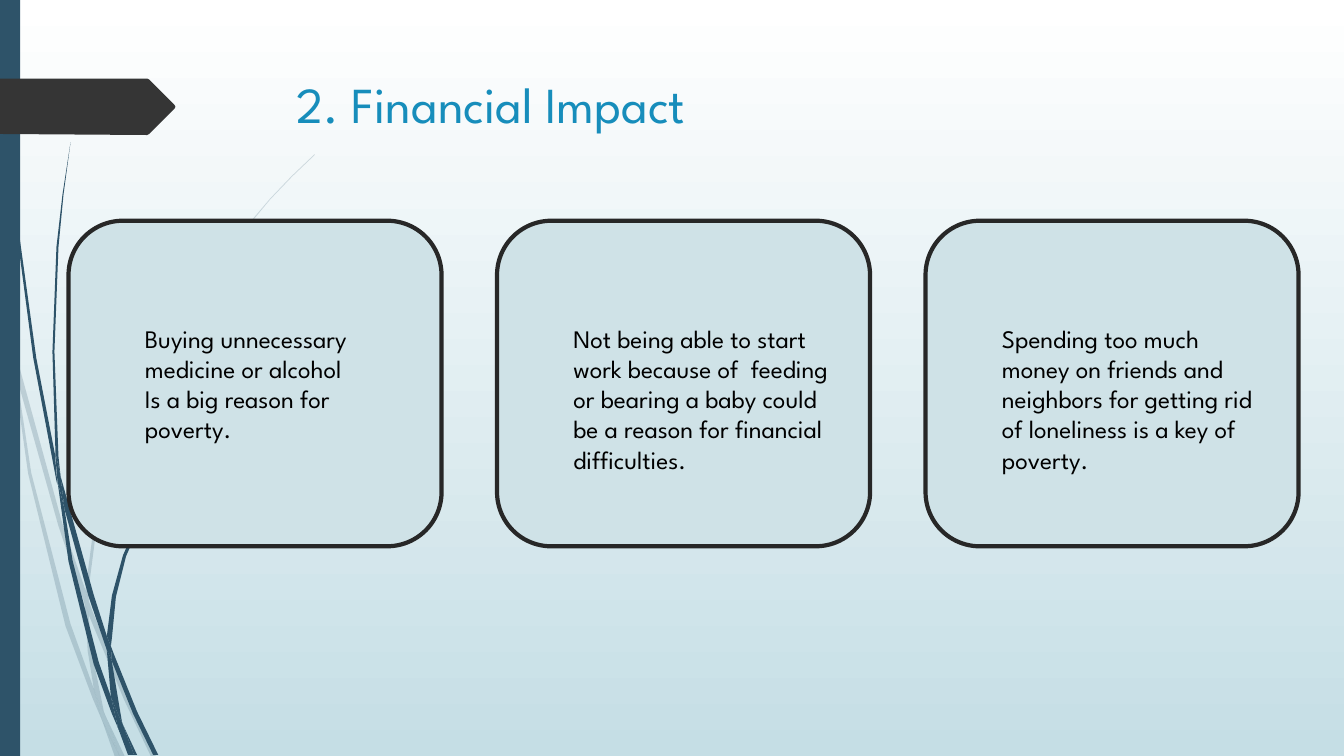
import lxml.etree
import pptx
import pptx.dml.color
import pptx.enum.shapes
import pptx.enum.text
import pptx.oxml.ns
import pptx.util

Inches = pptx.util.Inches
FONT = "League Spartan"
HUES = {
    "top": "FFFFFF", "base": "C5DEE5", "stem": "2E5369", "tag": "353535",
    "title": "178DBB", "card": "CFE2E7", "edge": "272727", "text": "000000",
}
PALE = (
    "0.11 3.5 0.09 3.22 0 2.82 0 2.99 0.1 3.44",
    "0.58 5.22 0.84 5.99 0.85 5.86 0.62 5.2 0.14 3.45 0.17 3.76",
    "0.92 6.07 0.88 5.96 0.88 6.1 1.23 6.94 1.5 7.51 1.55 7.51 1.27 6.92",
    "1.19 7.51 1.24 7.51 1.05 7.11",
    "0.93 6.83 0.7 6.19 0.31 4.69 0.17 3.76 0.11 3.5 0.28 4.7 0.65 6.21 0.92 6.93 "
    "1.01 7.14 0.99 7.07",
    "0.84 5.99 0.87 6.46 0.93 6.83 0.96 6.92 1.05 7.11 1.03 7.06 0.91 6.46 0.88 6.1 0.88 6.08",
    "0.88 5.84 0.96 5.22 1.1 4.62 1.6 3.49 2.29 2.45 2.68 1.98 2.9 1.75 3.12 1.54 3.12 1.53 "
    "2.89 1.75 2.68 1.97 2.28 2.44 1.58 3.48 1.07 4.61 0.93 5.22 0.85 5.84 0.85 5.86 0.88 5.96",
    "1.01 7.14 1.14 7.51 1.19 7.51",
    "0.88 6.08 0.88 6.1 0.88 5.96 0.85 5.86 0.84 5.99",
    "0.96 6.92 0.93 6.83 0.99 7.07 1.01 7.14 1.19 7.51 1.05 7.11",
)
DARK = (
    "0.07 1.1 0.17 2.33 0.33 3.55 0.56 4.77 0.57 4.81 0.55 4.57 0.55 4.53 0.36 3.55 "
    "0.19 2.32 0.08 1.09 0.05 0.48 0.04 0 0.03 0 0.04 0.48",
    "0.88 5.92 1.06 6.45 1.06 6.31 0.93 5.9 0.6 4.72 0.64 5.05",
    "1.13 6.49 1.1 6.41 1.11 6.56 1.32 7.08 1.52 7.49 1.57 7.49 1.36 7.06",
    "1.1 6.91 0.98 6.57 0.72 5.56 0.64 5.05 0.57 4.77 0.68 5.57 0.93 6.59 1.11 7.08 "
    "1.17 7.22 1.16 7.17",
    "0.6 4.72 0.58 4.53 0.54 3.49 0.58 2.45 0.63 1.93 0.7 1.41 0.62 1.93 0.56 2.45 "
    "0.52 3.49 0.55 4.49",
    "1.33 7.49 1.36 7.49 1.22 7.19",
    "0.57 4.77 0.64 5.05 0.6 4.72 0.55 4.49 0.55 4.53",
    "1.11 6.33 1.15 5.92 1.25 5.52 1.58 4.76 2.05 4.06 2.31 3.74 2.61 3.44 2.6 3.44 "
    "2.31 3.73 2.04 4.05 1.56 4.74 1.22 5.51 1.11 5.91 1.06 6.31 1.1 6.41",
    "1.17 7.22 1.27 7.49 1.31 7.49",
    "1.06 6.45 1.1 6.91 1.16 7.06 1.22 7.19 1.21 7.16 1.11 6.56 1.09 6.51",
    "1.06 6.45 1.09 6.51 1.11 6.56 1.1 6.41 1.06 6.31 1.06 6.33",
    "1.16 7.06 1.1 6.91 1.16 7.17 1.17 7.22 1.3 7.49 1.33 7.49 1.22 7.19",
)
TAG = "0 0.78 1.46 0.78 1.48 0.79 1.73 1.04 1.74 1.06 1.73 1.08 1.48 1.33 1.46 1.34 0 1.33"
CARDS = (
    (("Buying unnecessary medicine or alcohol", "Is a big reason for poverty."), 0.05),
    (("Not being able to start work because of  feeding or bearing a baby could be "
      "a reason for financial difficulties.",), 0.35),
    (("Spending too much money on friends and neighbors for getting rid of "
      "loneliness is a key of poverty.",), 0.35),
)


def hue(name):
    return pptx.dml.color.RGBColor.from_string(HUES[name])


def put(item, vals):
    for key, val in vals.items():
        setattr(item, key, val)


def paint(shape, name):
    shape.shadow.inherit = False
    shape.fill.solid()
    shape.fill.fore_color.rgb = hue(name)
    shape.line.fill.background()


def write(para, text, size, name):
    run = para.add_run()
    run.text = text
    put(run.font, {"name": FONT, "size": pptx.util.Pt(size)})
    run.font.color.rgb = hue(name)
    para.alignment = pptx.enum.text.PP_ALIGN.LEFT


def trace(slide, text, name, alpha=100):
    nums = [Inches(float(num)) for num in text.split()]
    dots = list(zip(nums[::2], nums[1::2]))
    form = slide.shapes.build_freeform(*dots[0])
    form.add_line_segments(dots[1:], close=True)
    shape = form.convert_to_shape()
    paint(shape, name)
    if alpha < 100:
        tint = shape.element.spPr.find(".//" + pptx.oxml.ns.qn("a:srgbClr"))
        lxml.etree.SubElement(tint, pptx.oxml.ns.qn("a:alpha"), val=str(alpha * 1000))


def block(slide, kind, box, name):
    shape = slide.shapes.add_shape(kind, *map(Inches, box))
    paint(shape, name)
    return shape


def card(slide, left, lines, top):
    kind = pptx.enum.shapes.MSO_SHAPE.ROUNDED_RECTANGLE
    shape = block(slide, kind, (left, 2.19, 3.7, 3.23), "card")
    shape.line.color.rgb = hue("edge")
    shape.line.width = pptx.util.Pt(3)
    frame = shape.text_frame
    put(frame, {"word_wrap": True, "margin_left": Inches(0.6), "margin_top": Inches(top),
                "vertical_anchor": pptx.enum.text.MSO_ANCHOR.MIDDLE})
    for n, line in enumerate(lines):
        write(frame.add_paragraph() if n else frame.paragraphs[0], line, 18, "text")


def head(slide, text):
    title = slide.shapes.title
    put(title, {"left": Inches(2.84), "top": Inches(0.68),
                "width": Inches(9.75), "height": Inches(1.4)})
    put(title.text_frame, {"vertical_anchor": pptx.enum.text.MSO_ANCHOR.TOP, "word_wrap": True})
    write(title.text_frame.paragraphs[0], text, 36, "title")


def shade(slide):
    fill = slide.background.fill
    fill.gradient()
    fill.gradient_angle = 270
    for n, (stop, name) in enumerate(zip(fill.gradient_stops, ("top", "base"))):
        stop.position = n
        stop.color.rgb = hue(name)


def main():
    deck = pptx.Presentation()
    put(deck, {"slide_width": Inches(13.33), "slide_height": Inches(7.5)})
    slide = deck.slides.add_slide(deck.slide_layouts[5])
    shade(slide)
    for stems, alpha in ((PALE, 20), (DARK, 100)):
        for stem in stems:
            trace(slide, stem, "stem", alpha)
    block(slide, pptx.enum.shapes.MSO_SHAPE.RECTANGLE, (0, 0, 0.2, 7.5), "stem")
    trace(slide, TAG, "tag")
    head(slide, "2. Financial Impact")
    for n, (lines, top) in enumerate(CARDS):
        card(slide, 0.68 + 4.25 * n, lines, top)
    deck.save("out.pptx")


if __name__ == "__main__":
    main()
